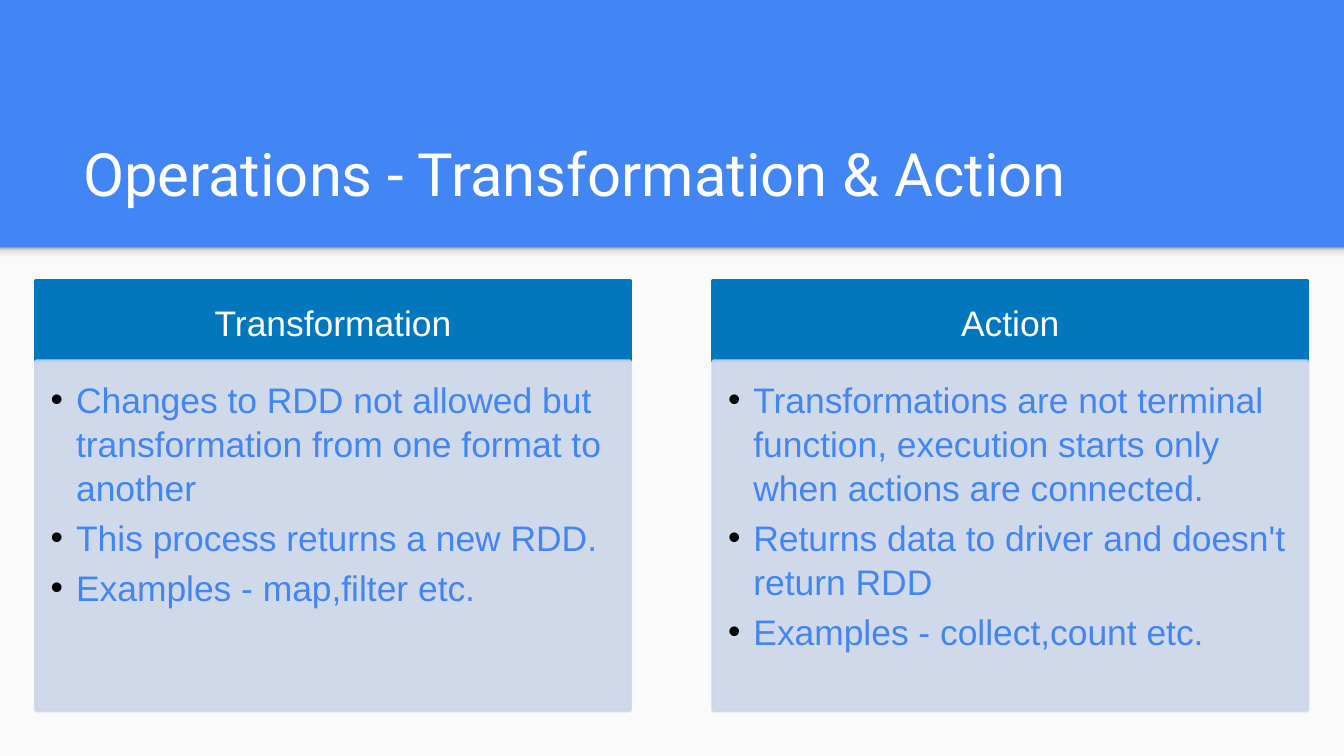
from pptx import Presentation, util as u
from pptx.dml.color import RGBColor
from pptx.enum import shapes, text
from pptx.oxml import parse_xml
from pptx.oxml.ns import nsdecls, qn
from lxml import etree

BLUE = RGBColor(0x42, 0x85, 0xF4)
DEEP = RGBColor(0x02, 0x77, 0xBD)
PALE = RGBColor(0xCC, 0xD6, 0xE8)
PAPER = RGBColor(0xFA, 0xFA, 0xFA)
WHITE = RGBColor(0xFF, 0xFF, 0xFF)
FADE = [(0, "F9F9F9"), (36, "F9F9F9"), (80, "DEDEDE"), (100, "999999")]

PANELS = [
    ("Transformation", [
        "Changes to RDD not allowed but transformation from one format to another",
        "This process returns a new RDD.",
        "Examples - map,filter etc."]),
    ("Action", [
        "Transformations are not terminal function, execution starts only when actions are connected.",
        "Returns data to driver and doesn't return RDD",
        "Examples - collect,count etc."]),
]
LEFT, STEP, WIDE = 0.68, 12.8, 11.23
TOP, HEAD, BODY = 5.31, 1.52, 6.6


def add_box(x, y, w, h, color, edge=None):
    box = slide.shapes.add_shape(shapes.MSO_SHAPE.RECTANGLE,
                                 u.Cm(x), u.Cm(y), u.Cm(w), u.Cm(h))
    box.shadow.inherit = False
    box.fill.solid()
    box.fill.fore_color.rgb = color
    if edge:
        box.line.color.rgb = color
        box.line.width = u.Pt(edge)
    else:
        box.line.fill.background()
    return box


def write(box, lines, pads, anchor, align, style, gap=0, pitch=1.0):
    """Fill a shape with paragraphs; pads are left, top, right, bottom in cm."""
    frame = box.text_frame
    frame.word_wrap = True
    frame.vertical_anchor = anchor
    for side, pad in zip(("left", "top", "right", "bottom"), pads):
        setattr(frame, "margin_" + side, u.Cm(pad))
    for i, line in enumerate(lines):
        para = frame.add_paragraph() if i else frame.paragraphs[0]
        para.alignment = align
        para.space_after = u.Pt(gap)
        para.line_spacing = pitch
        run = para.add_run()
        run.text = line
        for key, value in style.items():
            if key == "color":
                run.font.color.rgb = value
            else:
                setattr(run.font, key, value)
    return frame


deck = Presentation()
deck.slide_width, deck.slide_height = u.Cm(25.4), u.Cm(14.29)
slide = deck.slides.add_slide(deck.slide_layouts[6])
slide.background.fill.solid()
slide.background.fill.fore_color.rgb = BLUE

# Paper area with a soft shade under the title band
add_box(0, 4.67, 25.4, 9.62, PAPER)
shade = add_box(0, 4.67, 25.4, 0.3, PAPER)
shade.fill.gradient()
shade.fill.gradient_angle = 90
grad = shade._element.spPr.find(qn("a:gradFill"))
stops = "".join(f'<a:gs pos="{pos * 1000}"><a:srgbClr val="{tone}"/></a:gs>'
                for pos, tone in FADE)
grad.replace(grad.find(qn("a:gsLst")),
             parse_xml(f'<a:gsLst {nsdecls("a")}>{stops}</a:gsLst>'))

title = slide.shapes.add_textbox(u.Cm(1.32), u.Cm(2.06), u.Cm(22.83), u.Cm(2.13))
write(title, ["Operations - Transformation & Action"], [0.25] * 4,
      text.MSO_ANCHOR.BOTTOM, text.PP_ALIGN.LEFT,
      {"name": "Roboto", "size": u.Pt(32), "color": WHITE})

label = {"name": "Arial", "size": u.Pt(19), "color": WHITE}
for i, (name, points) in enumerate(PANELS):
    x = LEFT + i * STEP
    head = add_box(x, TOP, WIDE, HEAD, DEEP, 2)
    write(head, [name], (0.38, 0.2, 0.38, 0.2), text.MSO_ANCHOR.MIDDLE,
          text.PP_ALIGN.CENTER, label, pitch=1.04)

    body = add_box(x, TOP + HEAD, WIDE, BODY, PALE, 2)
    for tint in body._element.spPr.iter(qn("a:srgbClr")):
        etree.SubElement(tint, qn("a:alpha"), val="90000")
    frame = write(body, points, (0.28, 0.28, 0.38, 0.43), text.MSO_ANCHOR.TOP,
                  text.PP_ALIGN.LEFT, {**label, "color": BLUE}, gap=3, pitch=1.04)
    for para in frame.paragraphs:
        props = para._p.get_or_add_pPr()
        props.set("marL", str(u.Cm(0.48)))
        props.set("indent", str(-u.Cm(0.48)))
        dot = etree.SubElement(props, qn("a:buClr"))
        etree.SubElement(dot, qn("a:srgbClr"), val="000000")
        etree.SubElement(props, qn("a:buFont"), typeface="Arial")
        etree.SubElement(props, qn("a:buChar"), char="•")

deck.save("out.pptx")
